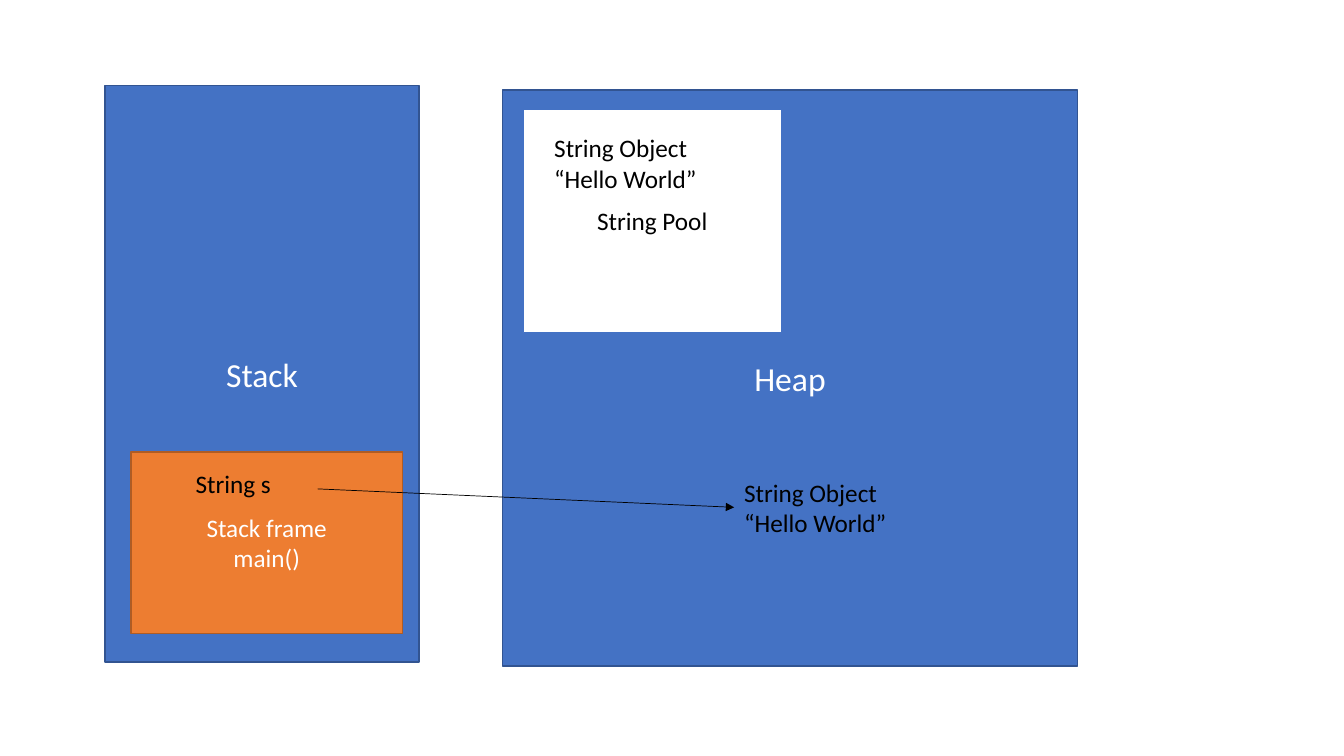
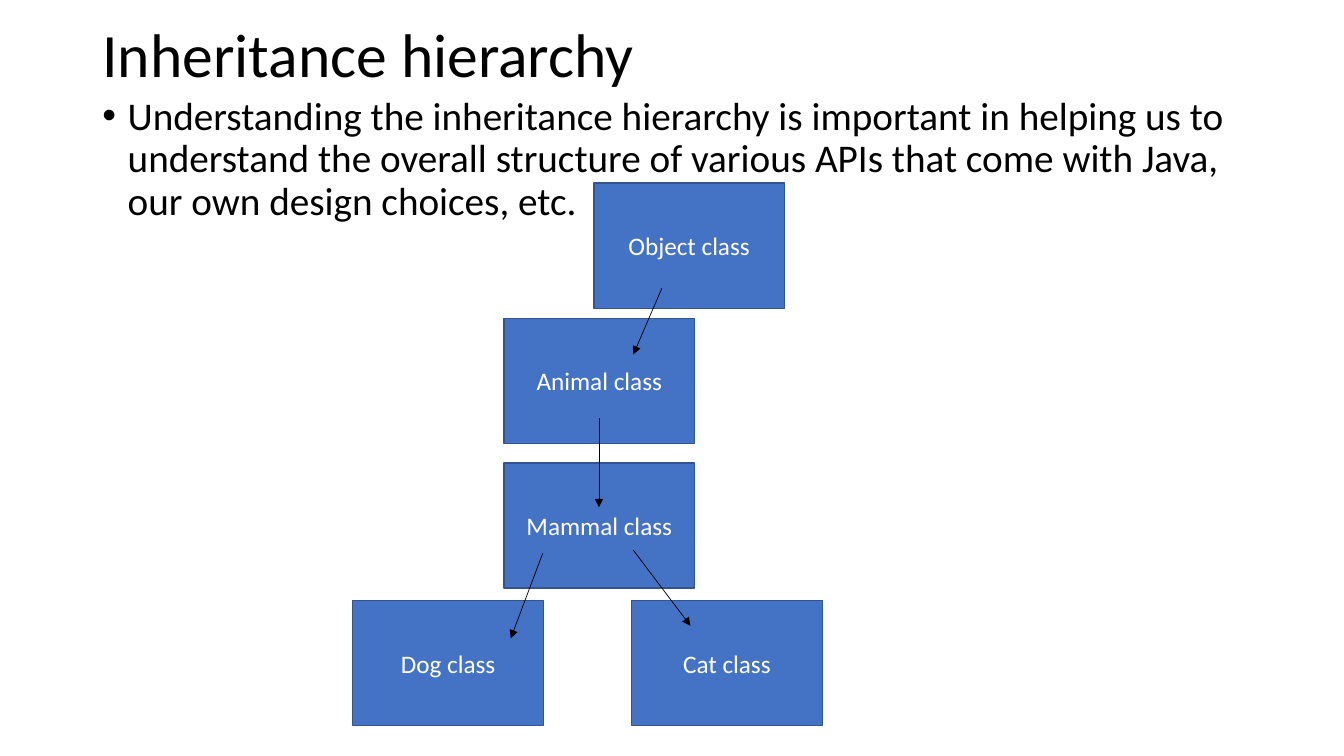
"""Builds two slides on Java memory and class inheritance."""
from lxml.etree import SubElement
from pptx import Presentation
from pptx.dml.color import RGBColor
from pptx.enum.shapes import MSO_CONNECTOR, MSO_SHAPE
from pptx.enum.text import MSO_ANCHOR as Anchor, MSO_AUTO_SIZE as AutoSize, PP_ALIGN as Align
from pptx.oxml.ns import qn
from pptx.util import Inches, Pt

COLUMNS, ROWS = 16, 9
BLANK, TITLE_AND_BODY = 6, 1
FONT = "Calibri"
COLORS = {
    "blue": "4472C4",
    "blue edge": "325491",
    "orange": "ED7D31",
    "orange edge": "AF5C24",
    "white": "FFFFFF",
    "black": "000000",
}


def color(name):
    return RGBColor.from_string(COLORS[name])


class Deck:
    """Holds the style and the current slide; lengths are grid columns and rows."""

    def __init__(self):
        self.presentation = Presentation()
        self.presentation.slide_width = Inches(13.33)
        self.presentation.slide_height = Inches(7.5)
        self.slide = None

    def new_slide(self, layout):
        self.slide = self.presentation.slides.add_slide(self.presentation.slide_layouts[layout])

    def place(self, *lengths):
        units = (self.presentation.slide_width / COLUMNS, self.presentation.slide_height / ROWS)
        return [round(length * units[index % 2]) for index, length in enumerate(lengths)]

    def set_text(self, shape, text, size, ink, align, anchor):
        frame = shape.text_frame
        frame.text = text
        frame.word_wrap = True
        frame.auto_size = AutoSize.NONE
        frame.vertical_anchor = anchor
        for paragraph in frame.paragraphs:
            paragraph.alignment = align
            for run in paragraph.runs:
                run.font.name = FONT
                run.font.size = Pt(size)
                run.font.color.rgb = color(ink)

    def box(self, text, area, size=18, fill="blue", edge="blue edge", ink="white"):
        shape = self.slide.shapes.add_shape(MSO_SHAPE.RECTANGLE, *self.place(*area))
        shape.shadow.inherit = False
        shape.fill.solid()
        shape.fill.fore_color.rgb = color(fill)
        shape.line.color.rgb = color(edge)
        shape.line.width = Pt(1)
        self.set_text(shape, text, size, ink, Align.CENTER, Anchor.MIDDLE)

    def label(self, text, area):
        shape = self.slide.shapes.add_textbox(*self.place(*area))
        self.set_text(shape, text, 18, "black", Align.LEFT, Anchor.TOP)

    def arrow(self, start, end):
        ends = self.place(*start, *end)
        connector = self.slide.shapes.add_connector(MSO_CONNECTOR.STRAIGHT, *ends)
        connector.line.color.rgb = color("black")
        connector.line.width = Pt(0.5)
        properties = connector._element.spPr
        SubElement(properties.find(qn("a:ln")), qn("a:tailEnd"), type="triangle")
        SubElement(properties, qn("a:effectLst"))

    def placeholder(self, index, text, area, size, anchor):
        shape = self.slide.placeholders[index]
        shape.left, shape.top, shape.width, shape.height = self.place(*area)
        self.set_text(shape, text, size, "black", Align.LEFT, anchor)
        for paragraph in shape.text_frame.paragraphs:
            paragraph.line_spacing = 0.9
        return shape

    def title(self, text):
        self.placeholder(0, text, (1.1, -0.19, 13.8, 1.74), 44, Anchor.MIDDLE)

    def bullets(self, text):
        shape = self.placeholder(1, text, (1.1, 1.09, 13.8, 5.71), 28, Anchor.TOP)
        for paragraph in shape.text_frame.paragraphs:
            paragraph.space_before = Pt(10)
            properties = paragraph._p.get_or_add_pPr()
            properties.set("marL", str(Inches(0.25)))
            properties.set("indent", str(-Inches(0.25)))
            SubElement(properties, qn("a:buFont"), typeface="Arial")
            SubElement(properties, qn("a:buChar"), char="•")


def memory_slide(deck):
    deck.new_slide(BLANK)
    deck.box("Stack", (1.25, 1.02, 3.74, 6.86), size=24)
    deck.box("Heap", (5.98, 1.07, 6.85, 6.86), size=24)
    deck.box("Stack frame\nmain()", (1.56, 5.38, 3.23, 2.16), fill="orange", edge="orange edge")
    deck.box("String Pool", (6.23, 1.3, 3.07, 2.66), fill="white", edge="blue", ink="black")
    for left, top in ((6.48, 1.52), (8.74, 5.62)):
        deck.label("String Object\n“Hello World”", (left, top, 2.26, 0.85))
    deck.label("String s", (2.21, 5.52, 1.56, 0.48))
    deck.arrow((3.78, 5.82), (8.74, 6.04))


def inheritance_slide(deck):
    deck.new_slide(TITLE_AND_BODY)
    deck.title("Inheritance hierarchy")
    deck.bullets(
        "Understanding the inheritance hierarchy is important in helping us to understand "
        "the overall structure of various APIs that come with Java, our own design choices, etc."
    )
    classes = {
        "Object": (7.07, 2.18),
        "Animal": (6, 3.79),
        "Mammal": (6, 5.51),
        "Dog": (4.2, 7.15),
        "Cat": (7.52, 7.15),
    }
    for name, corner in classes.items():
        deck.box(f"{name} class", (*corner, 2.27, 1.49))
    arrows = (
        ((7.88, 3.43), (7.54, 4.22)),
        ((7.13, 4.98), (7.13, 6.04)),
        ((6.46, 6.59), (6.08, 7.6)),
        ((7.54, 6.55), (8.22, 7.45)),
    )
    for start, end in arrows:
        deck.arrow(start, end)


def main():
    deck = Deck()
    memory_slide(deck)
    inheritance_slide(deck)
    deck.presentation.save("out.pptx")


if __name__ == "__main__":
    main()
